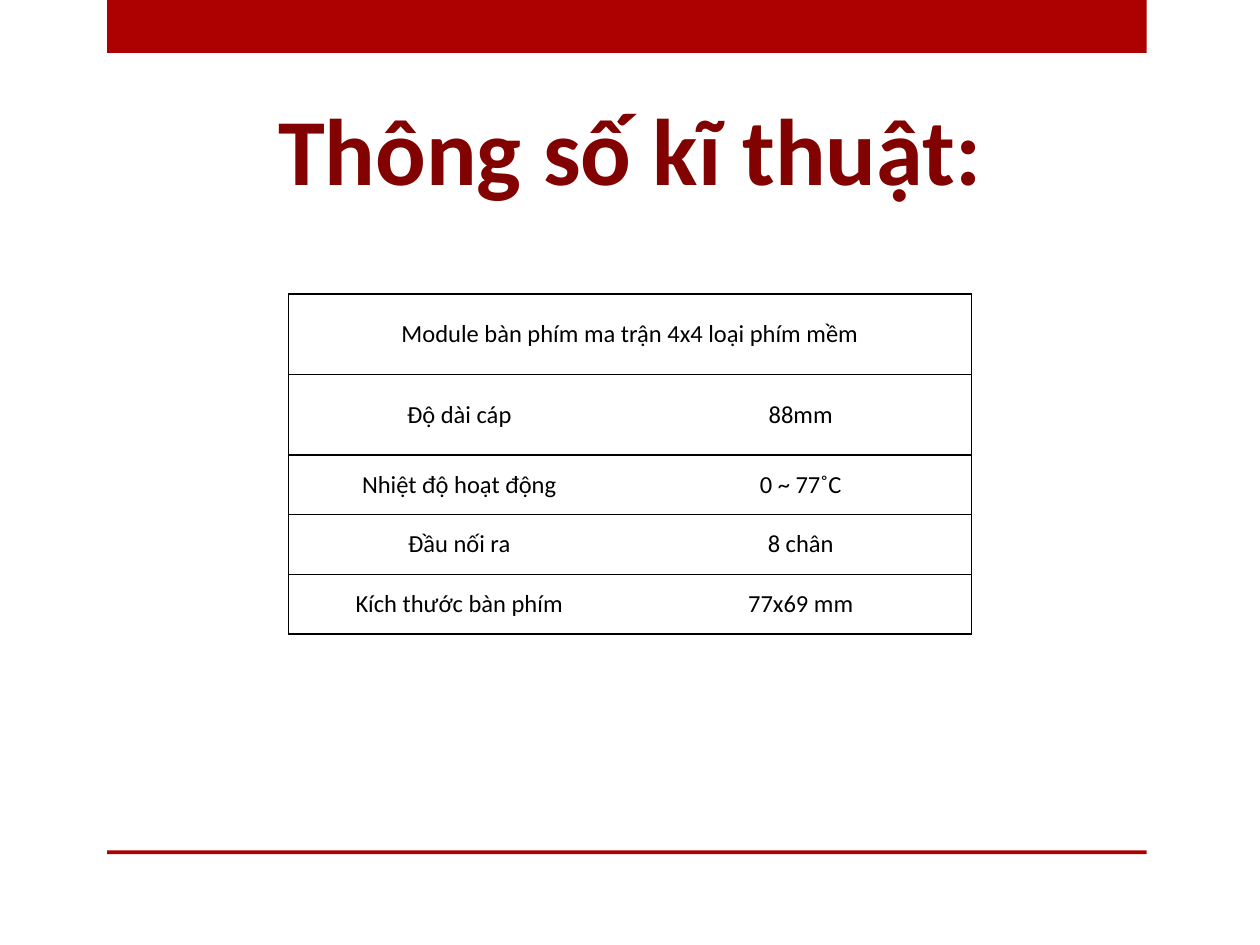
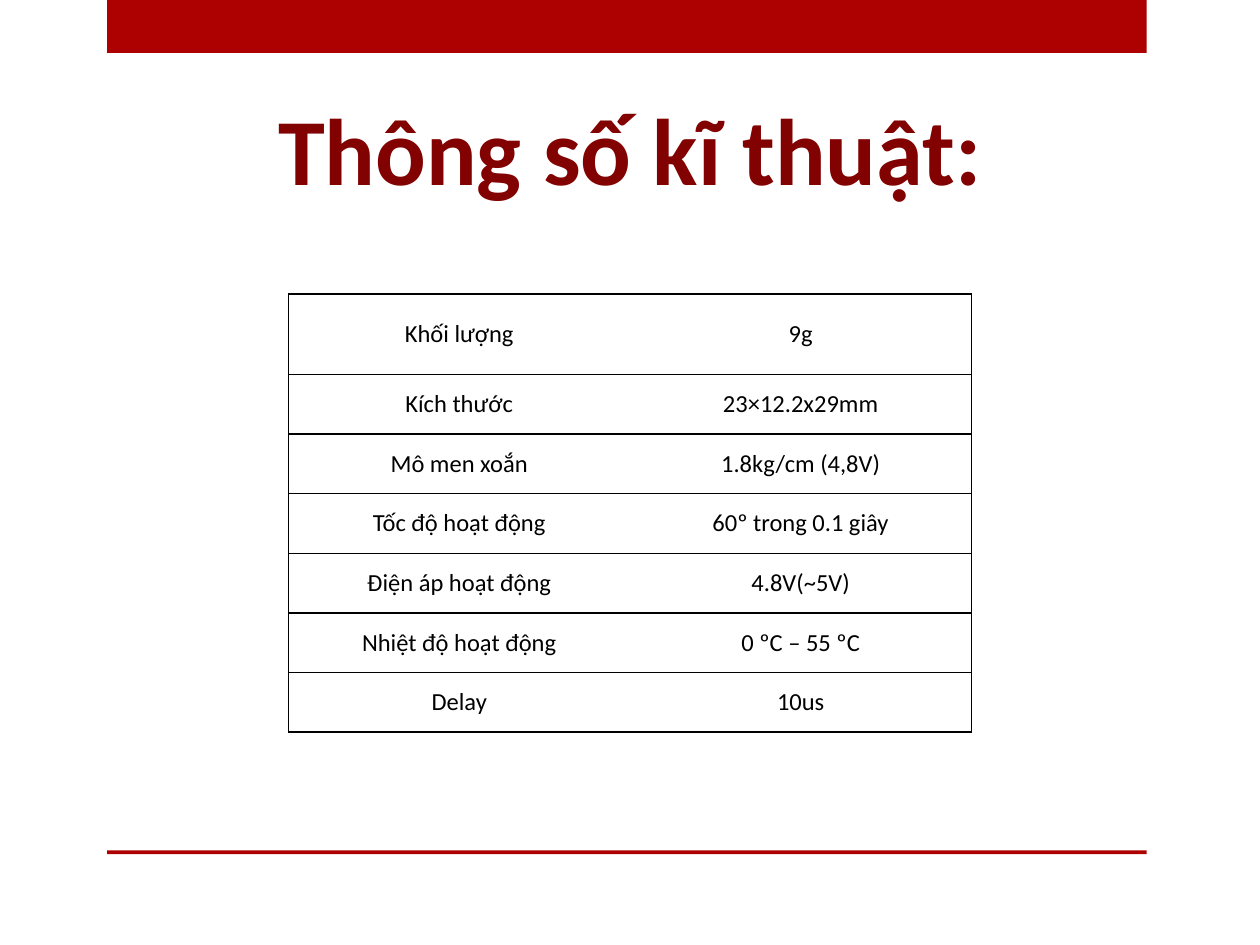
from lxml.etree import SubElement
from pptx import Presentation
from pptx.dml.color import RGBColor
from pptx.enum.shapes import MSO_SHAPE as SHAPE
from pptx.enum.text import MSO_ANCHOR as ANCHOR, MSO_AUTO_SIZE as AUTO_SIZE, PP_ALIGN as ALIGN
from pptx.oxml.ns import qn
from pptx.util import Inches, Pt

BAND_RED = RGBColor(0xAD, 0x01, 0x01)
TITLE_RED = RGBColor(0x82, 0x01, 0x01)
BLACK = RGBColor(0, 0, 0)
FONT = "Calibri"
TITLE = "Thông số kĩ thuật:"
NO_STYLE = "{2D5ABB26-0587-4C30-8999-92F81FD0307C}"

WIDTH, HEIGHT = Inches(10), Inches(7.5)
TITLE_BOX = (0.208, 0.089, 0.584, 0.135)
TABLE_BOX = (0.229, 0.311, 0.542)
BAND_BOXES = ((0.085, 0, 0.825, 0.056), (0.085, 0.9, 0.825, 0.004))
TALL_ROW, ROW = Inches(0.64), Inches(0.473)

KEYPAD = (
    ("Module bàn phím ma trận 4x4 loại phím mềm",),
    ("Độ dài cáp", "88mm"),
    ("Nhiệt độ hoạt động", "0 ~ 77˚C"),
    ("Đầu nối ra", "8 chân"),
    ("Kích thước bàn phím", "77x69 mm"),
)
SERVO = (
    ("Khối lượng", "9g"),
    ("Kích thước", "23×12.2x29mm"),
    ("Mô men xoắn", "1.8kg/cm (4,8V)"),
    ("Tốc độ hoạt động", "60º trong 0.1 giây"),
    ("Điện áp hoạt động", "4.8V(~5V)"),
    ("Nhiệt độ hoạt động", "0 ºC – 55 ºC"),
    ("Delay", "10us"),
)


def to_slide(box):
    """Turn shares of the slide into lengths."""
    return [round(share * side) for share, side in zip(box, (WIDTH, HEIGHT) * 2)]


def style_paragraph(p, size, color, bold=False):
    """Centre a paragraph and set its font."""
    p.alignment = ALIGN.CENTER
    p.font.name, p.font.size, p.font.bold = FONT, Pt(size), bold
    p.font.color.rgb = color


def add_bands(slide, layout):
    """Draw the red bands and move them to the shared layout."""
    for number, box in enumerate(BAND_BOXES, 1):
        s = slide.shapes.add_shape(SHAPE.RECTANGLE, *to_slide(box))
        s.shadow.inherit = False
        s.fill.solid()
        s.fill.fore_color.rgb = BAND_RED
        s.line.fill.background()
        s.name = f"Band {number}"
        s.element.nvSpPr.cNvPr.set("id", str(100 + number))
        layout.shapes.element.append(s.element)


def add_title(slide, box, text):
    """Place and format the title placeholder."""
    s = slide.shapes.title
    s.left, s.top, s.width, s.height = to_slide(box)
    tf = s.text_frame
    tf.text = text
    tf.word_wrap, tf.auto_size = False, AUTO_SIZE.NONE
    tf.vertical_anchor = ANCHOR.MIDDLE
    style_paragraph(tf.paragraphs[0], 54, TITLE_RED, bold=True)


def set_borders(cell, sides):
    """Draw black lines on the named sides and clear the others."""
    tc_pr = cell._tc.get_or_add_tcPr()
    for side in "LRTB":
        ln = SubElement(tc_pr, qn(f"a:ln{side}"), w=str(Pt(1)))
        if side in sides:
            fill = SubElement(ln, qn("a:solidFill"))
            SubElement(fill, qn("a:srgbClr"), val=str(BLACK))
        else:
            SubElement(ln, qn("a:noFill"))


def add_spec_table(slide, box, rows, tall_rows):
    """Build a two-column table; a row with one text spans both columns."""
    heights = [TALL_ROW if i < tall_rows else ROW for i in range(len(rows))]
    frame = slide.shapes.add_table(len(rows), 2, *to_slide(box), sum(heights))
    table = frame.table
    table.first_row = table.horz_banding = False
    table._tbl.tblPr.find(qn("a:tableStyleId")).text = NO_STYLE
    for i, (texts, height) in enumerate(zip(rows, heights)):
        table.rows[i].height = height
        spans = len(texts) == 1
        if spans:
            table.cell(i, 0).merge(table.cell(i, 1))
        for j, outer in enumerate("LR"):
            cell = table.cell(i, j)
            set_borders(cell, "LRTB" if spans else outer + "TB")
            cell.fill.background()
            if j < len(texts):
                fill_cell(cell, texts[j])


def fill_cell(cell, text):
    """Write centred text into a cell without margins."""
    cell.text = text
    cell.margin_left = cell.margin_right = cell.margin_top = cell.margin_bottom = 0
    cell.vertical_anchor = ANCHOR.MIDDLE
    style_paragraph(cell.text_frame.paragraphs[0], 14, BLACK)


def main():
    """Build and save the slides."""
    prs = Presentation()
    prs.slide_width, prs.slide_height = WIDTH, HEIGHT
    layout = prs.slide_layouts[5]
    for rows, tall_rows in ((KEYPAD, 2), (SERVO, 1)):
        slide = prs.slides.add_slide(layout)
        add_title(slide, TITLE_BOX, TITLE)
        add_spec_table(slide, TABLE_BOX, rows, tall_rows)
    add_bands(slide, layout)
    prs.save("out.pptx")


if __name__ == "__main__":
    main()
